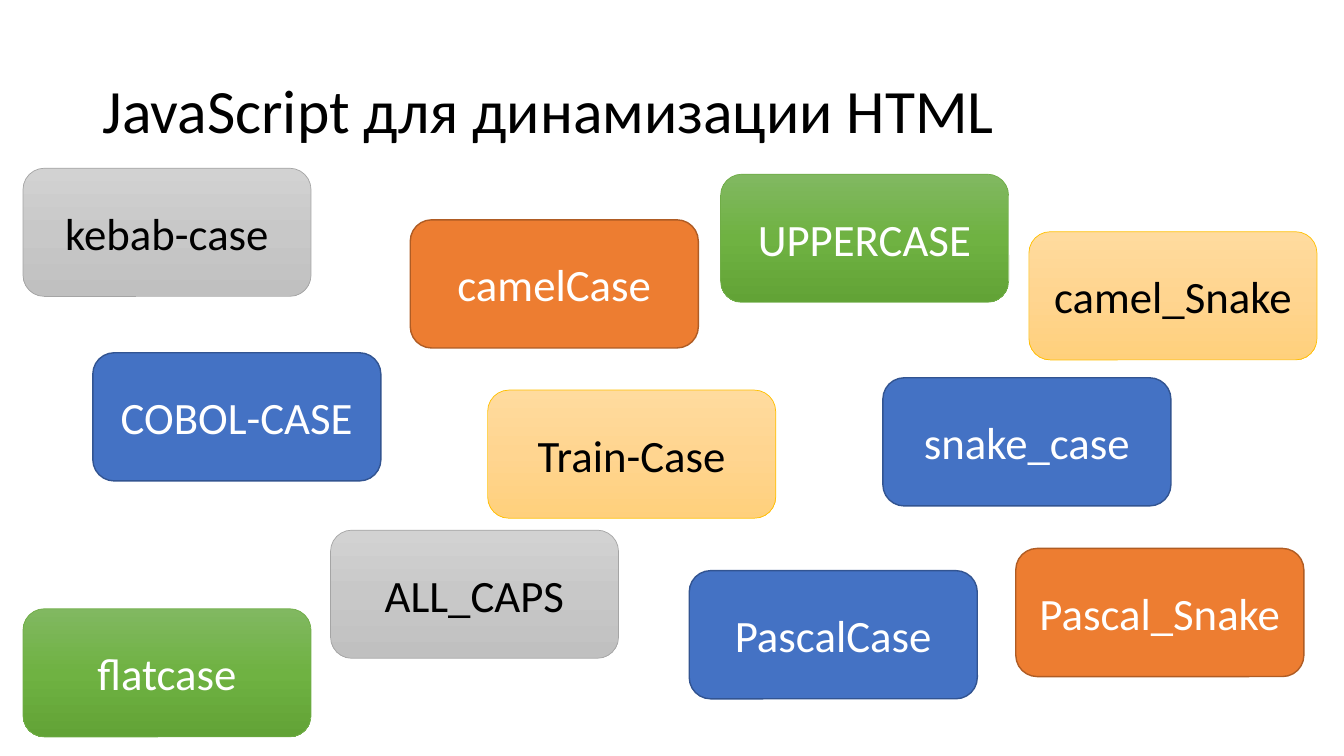
"""Build a slide that scatters the names of letter-case styles as coloured cards."""
from copy import deepcopy

from pptx import Presentation
from pptx.dml.color import RGBColor
from pptx.enum.shapes import MSO_SHAPE
from pptx.enum.text import MSO_ANCHOR, PP_ALIGN
from pptx.util import Cm, Pt

TITLE = "JavaScript для динамизации HTML"
CARDS = [
    ("kebab-case", "grey", 0.58, 4.24),
    ("camelCase", "orange", 10.34, 5.54),
    ("Train-Case", "gold", 12.29, 9.83),
    ("snake_case", "blue", 22.25, 9.52),
    ("PascalCase", "blue", 17.37, 14.38),
    ("flatcase", "green", 0.58, 15.34),
    ("UPPERCASE", "green", 18.16, 4.39),
    ("ALL_CAPS", "grey", 8.33, 13.36),
    ("camel_Snake", "gold", 25.93, 5.84),
    ("COBOL-CASE", "blue", 2.34, 8.89),
    ("Pascal_Snake", "orange", 25.6, 13.82),
]
CARD_W, CARD_H = 7.26, 3.23
THEME = {
    "font": "Calibri",
    "title_size": 44,
    "card_size": 32,
    "title_color": "000000",
    "styles": {
        "grey": {"fill": ("D2D2D2", "C8C8C8", "C0C0C0"), "line": "A5A5A5", "width": 0.5, "text": "000000"},
        "gold": {"fill": ("FFDB9E", "FFD590", "FFD07C"), "line": "FFC000", "width": 0.5, "text": "000000"},
        "green": {"fill": ("81B861", "6FB242", "62A336"), "line": "70AD47", "width": 0.5, "text": "FFFFFF"},
        "orange": {"fill": ("ED7D31",), "line": "AF5C24", "width": 1, "text": "FFFFFF"},
        "blue": {"fill": ("4472C4",), "line": "325491", "width": 1, "text": "FFFFFF"},
    },
}


def set_text(sp, text, size, color, align):
    tf = sp.text_frame
    tf.word_wrap = True
    tf.vertical_anchor = MSO_ANCHOR.MIDDLE
    p = tf.paragraphs[0]
    p.text = text
    p.alignment = align
    p.font.name = THEME["font"]
    p.font.size = Pt(size)
    p.font.color.rgb = RGBColor.from_string(color)
    return p


def set_fill(sp, colors):
    if len(colors) == 1:
        sp.fill.solid()
        sp.fill.fore_color.rgb = RGBColor.from_string(colors[0])
        return
    sp.fill.gradient()
    sp.fill.gradient_angle = 270
    first = sp._element.spPr.find(".//{*}gs")
    first.addnext(deepcopy(first))
    for i, (stop, color) in enumerate(zip(sp.fill.gradient_stops, colors)):
        stop.position = i / (len(colors) - 1)
        stop.color.rgb = RGBColor.from_string(color)


def add_card(s, text, style_name, left, top):
    style = THEME["styles"][style_name]
    sp = s.shapes.add_shape(MSO_SHAPE.ROUNDED_RECTANGLE, Cm(left), Cm(top), Cm(CARD_W), Cm(CARD_H))
    sp.shadow.inherit = False
    set_fill(sp, style["fill"])
    sp.line.color.rgb = RGBColor.from_string(style["line"])
    sp.line.width = Pt(style["width"])
    set_text(sp, text, THEME["card_size"], style["text"], PP_ALIGN.CENTER)


def main():
    prs = Presentation()
    prs.slide_width, prs.slide_height = Cm(33.87), Cm(19.05)
    s = prs.slides.add_slide(prs.slide_layouts[6])
    title = s.shapes.add_textbox(Cm(2.34), Cm(1.02), Cm(29.21), Cm(3.68))
    p = set_text(title, TITLE, THEME["title_size"], THEME["title_color"], PP_ALIGN.LEFT)
    p.line_spacing = 0.9
    for card in CARDS:
        add_card(s, *card)
    prs.save("out.pptx")


if __name__ == "__main__":
    main()
